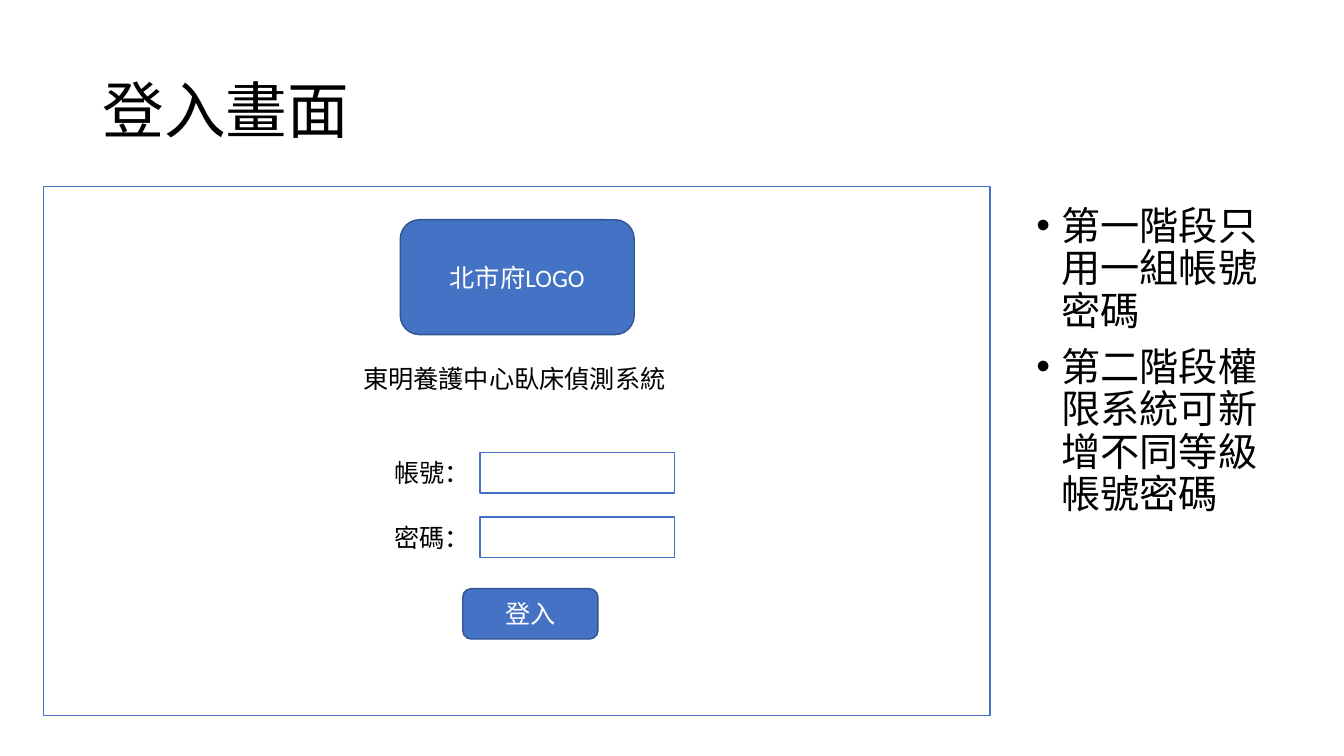
from lxml import etree
from pptx import Presentation
from pptx import util as u
from pptx.dml.color import RGBColor
from pptx.enum import shapes, text
from pptx.oxml.ns import qn

PX = 9144  # 100 px to the inch
BLUE, NAVY, WHITE, BLACK = "4472C4", "325491", "FFFFFF", "000000"
LEFT, CENTER = text.PP_ALIGN.LEFT, text.PP_ALIGN.CENTER
TOP, MIDDLE = text.MSO_ANCHOR.TOP, text.MSO_ANCHOR.MIDDLE
RECT, ROUND = shapes.MSO_SHAPE.RECTANGLE, shapes.MSO_SHAPE.ROUNDED_RECTANGLE


def color(value):
    return RGBColor.from_string(value)


class Deck:
    font = "Calibri"

    def __init__(self, width, height):
        self.prs = Presentation()
        self.prs.slide_width, self.prs.slide_height = width * PX, height * PX
        self.s = self.prs.slides.add_slide(self.prs.slide_layouts[6])

    def set_text(self, sp, content, size, ink, align, anchor):
        tf = sp.text_frame
        tf.word_wrap = True
        tf.vertical_anchor = anchor
        tf.text = content
        for p in tf.paragraphs:
            p.alignment = align
            for r in p.runs:
                r.font.size = u.Pt(size)
                r.font.name = self.font
                r.font.color.rgb = color(ink)
        return tf

    def label(self, box, content, size=18, align=CENTER, anchor=TOP):
        sp = self.s.shapes.add_textbox(*(v * PX for v in box))
        return self.set_text(sp, content, size, BLACK, align, anchor)

    def bullets(self, box, items, size):
        tf = self.label(box, "\n".join(items), size, LEFT)
        for p in tf.paragraphs:
            p.line_spacing = 0.9
            p.space_before = u.Pt(10)
            pPr = p._p.get_or_add_pPr()
            pPr.set("marL", str(25 * PX))
            pPr.set("indent", str(-25 * PX))
            etree.SubElement(pPr, qn("a:buFont")).set("typeface", "Arial")
            etree.SubElement(pPr, qn("a:buChar")).set("char", "•")

    def box(self, box, kind=RECT, fill=WHITE, line=BLUE, content=""):
        sp = self.s.shapes.add_shape(kind, *(v * PX for v in box))
        sp.shadow.inherit = False
        sp.fill.solid()
        sp.fill.fore_color.rgb = color(fill)
        sp.line.color.rgb = color(line)
        sp.line.width = u.Pt(1)
        if content:
            self.set_text(sp, content, 18, WHITE, CENTER, MIDDLE)

    def button(self, box, content):
        self.box(box, ROUND, BLUE, NAVY, content)


def main():
    deck = Deck(1333, 750)

    # Title and notes on the two phases
    title = deck.label((92, 40, 1150, 145), "登入畫面", 44, LEFT, MIDDLE)
    title.paragraphs[0].line_spacing = 0.9
    deck.bullets((1018, 200, 272, 476),
                 ["第一階段只用一組帳號密碼", "第二階段權限系統可新增不同等級帳號密碼"], 28)

    # Login window with logo and system name
    deck.box((43, 185, 939, 525))
    deck.button((397, 218, 232, 114), "北市府LOGO")
    deck.label((284, 356, 452, 40), "東明養護中心臥床偵測系統")

    # Input fields
    for row, name in enumerate(["帳號：", "密碼："]):
        top = 449 + 64 * row
        deck.label((378, top, 101, 40), name)
        deck.box((476, top, 193, 40))

    # Login button
    deck.button((459, 584, 134, 50), "登入")

    deck.prs.save("out.pptx")


if __name__ == "__main__":
    main()
